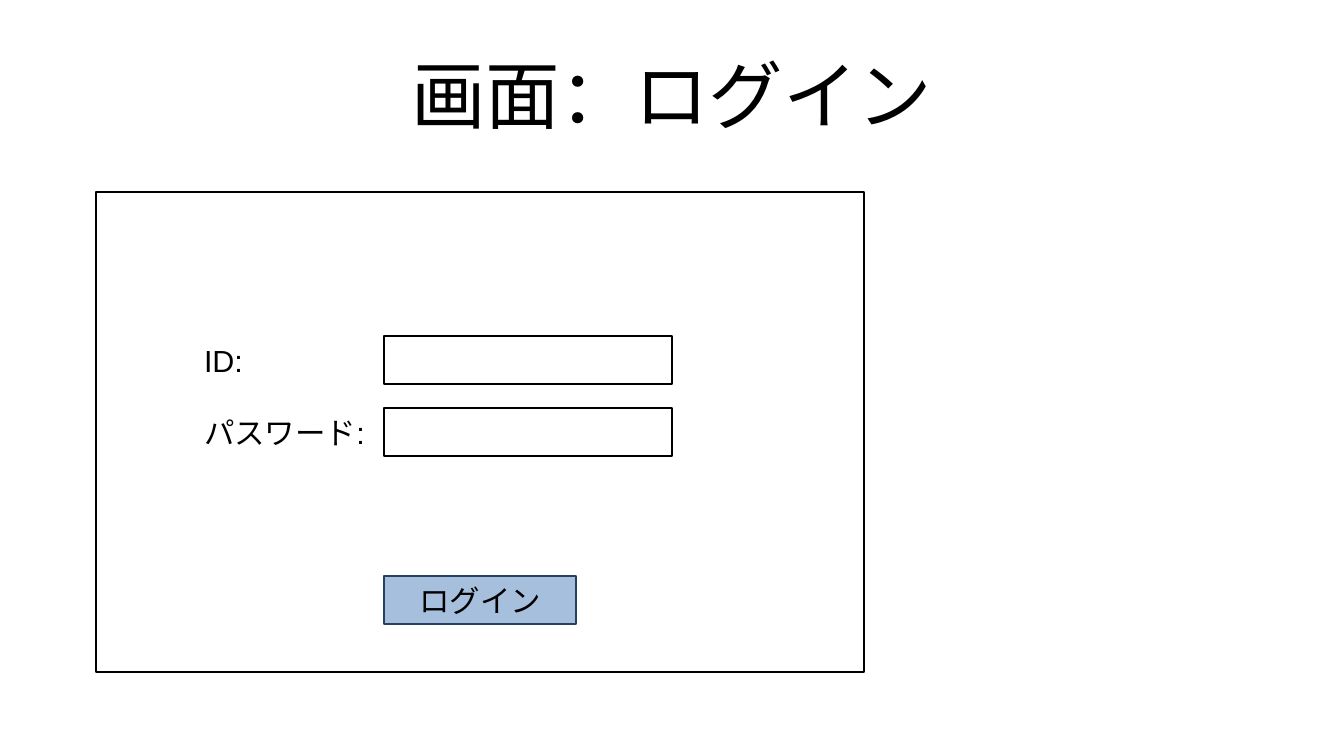
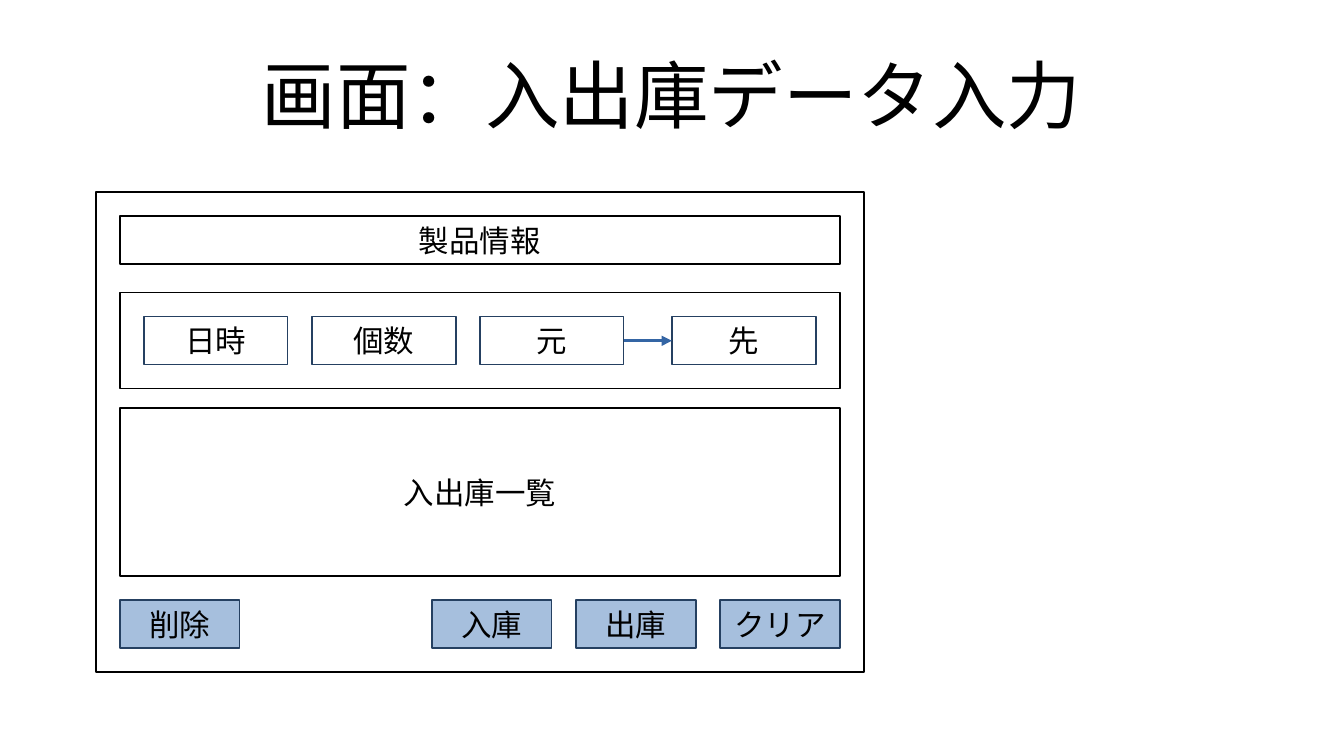
from lxml.etree import SubElement
from pptx import Presentation
from pptx.dml.color import RGBColor
from pptx.enum.shapes import MSO_CONNECTOR as CONNECTOR, MSO_SHAPE as SHAPE
from pptx.enum.text import MSO_ANCHOR as ANCHOR, PP_ALIGN as ALIGN
from pptx.oxml.ns import qn
from pptx.util import Pt

# Shared style; all positions are counted in grid units
UNIT = 28.35
FONT = "Arial"
BLACK = "000000"
NAVY = "254061"
BLUE = "4F81BD"
ARROW_BLUE = "3465A4"
BUTTON_ALPHA = 50
HAIRLINE = 0
ROW_HEIGHT = 1
FRAME = (2, 4, 16, 10)
TITLE = (1.4, 0.63, 25.2, 2.63)


def grid(*units):
    return [Pt(round(unit * UNIT, 2)) for unit in units]


def color(value):
    return RGBColor.from_string(value)


def write(shape, text, size=18, align=ALIGN.CENTER, anchor=ANCHOR.MIDDLE,
          insets=(7.2, 3.6)):
    frame = shape.text_frame
    frame.word_wrap = True
    frame.vertical_anchor = anchor
    frame.margin_left = frame.margin_right = Pt(insets[0])
    frame.margin_top = frame.margin_bottom = Pt(insets[1])
    paragraph = frame.paragraphs[0]
    paragraph.alignment = align
    run = paragraph.add_run()
    run.text = text
    run.font.size = Pt(size)
    run.font.name = FONT
    run.font.color.rgb = color(BLACK)


def add_text(slide, place, text, **style):
    write(slide.shapes.add_textbox(*grid(*place)), text, **style)


def add_box(slide, place, text=None, line=BLACK):
    shape = slide.shapes.add_shape(SHAPE.RECTANGLE, *grid(*place))
    shape.shadow.inherit = False
    shape.fill.background()
    shape.line.color.rgb = color(line)
    shape.line.width = Pt(HAIRLINE)
    if text:
        write(shape, text)
    return shape


def add_button(slide, place, text):
    shape = add_box(slide, place, text, line=NAVY)
    shape.fill.solid()
    shape.fill.fore_color.rgb = color(BLUE)
    fill_color = shape.fill._xPr.find(qn("a:solidFill"))[0]
    SubElement(fill_color, qn("a:alpha"), val=str(BUTTON_ALPHA * 1000))


def add_arrow(slide, start, end):
    arrow = slide.shapes.add_connector(CONNECTOR.STRAIGHT, *grid(*start, *end))
    arrow.line.color.rgb = color(ARROW_BLUE)
    arrow.line.width = Pt(HAIRLINE)
    SubElement(arrow.line._get_or_add_ln(), qn("a:tailEnd"), type="triangle")
    SubElement(arrow._element.spPr, qn("a:effectLst"))


def add_screen(presentation, title):
    """Add a slide with its title and the outline of a screen."""
    slide = presentation.slides.add_slide(presentation.slide_layouts[6])
    add_text(slide, TITLE, title, size=44, insets=(0, 0))
    add_box(slide, FRAME)
    return slide


def build_login(presentation):
    slide = add_screen(presentation, "画面：ログイン")
    # Labels with input fields
    for row, label in enumerate(("ID:", "パスワード:")):
        top = 7 + 1.5 * row
        add_text(slide, (4, top, 4, ROW_HEIGHT), label,
                 align=ALIGN.LEFT, anchor=ANCHOR.TOP)
        add_box(slide, (8, top, 6, ROW_HEIGHT))
    add_button(slide, (8, 12, 4, ROW_HEIGHT), "ログイン")


def build_stock_entry(presentation):
    slide = add_screen(presentation, "画面：入出庫データ入力")
    left, width = 2.5, 15
    # Panels
    for top, height, text in ((4.5, ROW_HEIGHT, "製品情報"), (6.1, 2, None),
                              (8.5, 3.5, "入出庫一覧")):
        add_box(slide, (left, top, width, height), text)
    # Entry fields, with an arrow from source to destination
    for field_left, text in ((3, "日時"), (6.5, "個数"), (10, "元"), (14, "先")):
        add_box(slide, (field_left, 6.6, 3, ROW_HEIGHT), text, line=NAVY)
    add_arrow(slide, (13, 7.1), (14, 7.1))
    # Action buttons
    for button_left, text in ((left, "削除"), (9, "入庫"), (12, "出庫"),
                              (15, "クリア")):
        add_button(slide, (button_left, 12.5, 2.5, ROW_HEIGHT), text)


def main():
    presentation = Presentation()
    presentation.slide_width, presentation.slide_height = grid(28, 15.75)
    build_login(presentation)
    build_stock_entry(presentation)
    presentation.save("out.pptx")


if __name__ == "__main__":
    main()
